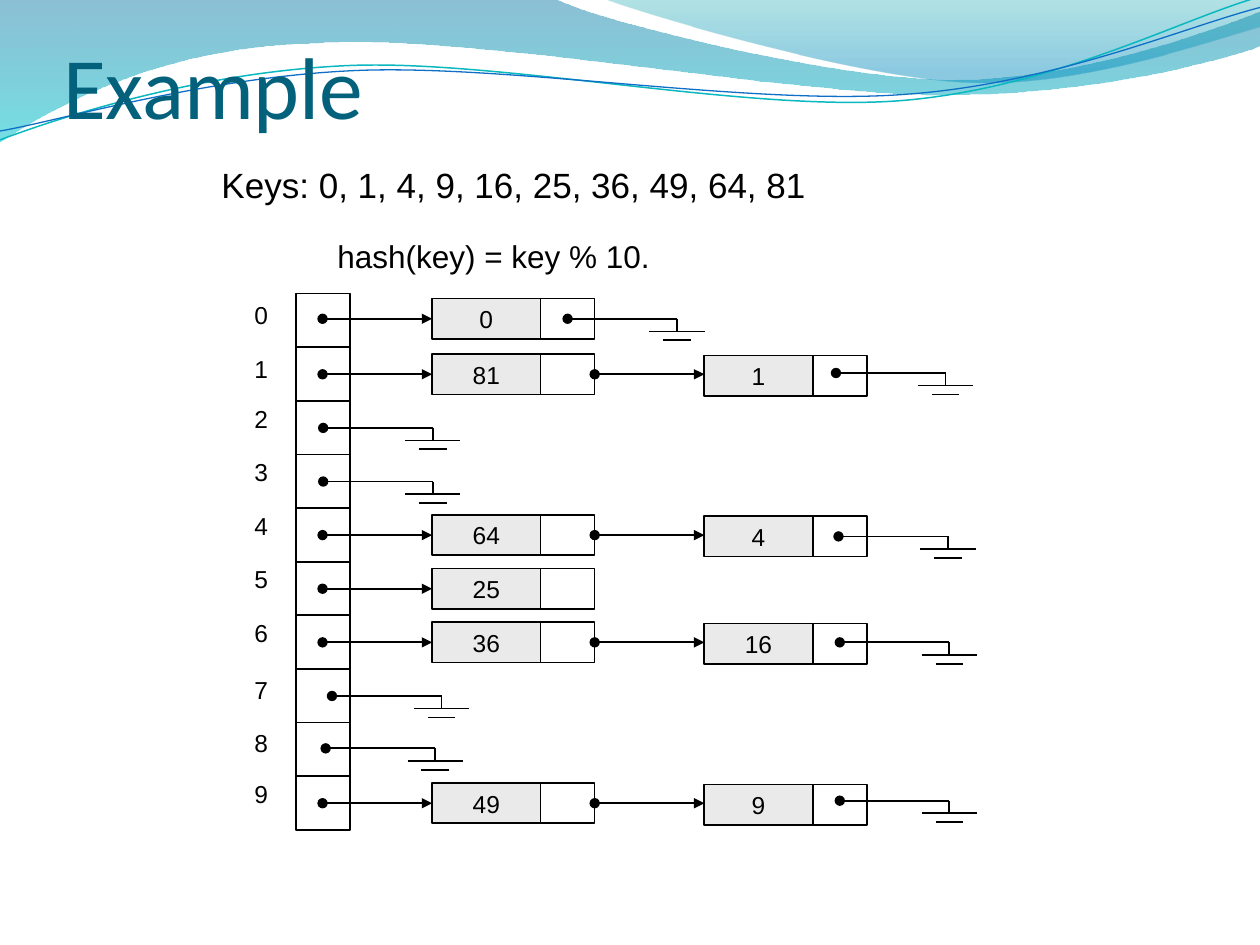
from dataclasses import dataclass
from math import cos, radians, sin

from lxml import etree
from pptx import Presentation
from pptx.dml.color import RGBColor
from pptx.enum.shapes import MSO_CONNECTOR, MSO_SHAPE
from pptx.enum.text import MSO_ANCHOR, MSO_AUTO_SIZE, PP_ALIGN
from pptx.oxml.ns import qn
from pptx.util import Inches, Pt

RECTANGLE = MSO_SHAPE.RECTANGLE
STRAIGHT = MSO_CONNECTOR.STRAIGHT
MIDDLE, BOTTOM = MSO_ANCHOR.MIDDLE, MSO_ANCHOR.BOTTOM
CENTER = PP_ALIGN.CENTER
GROW = MSO_AUTO_SIZE.SHAPE_TO_FIT_TEXT


@dataclass(frozen=True)
class Theme:
    title_font: str = "Calibri"
    body_font: str = "Arial"
    title: str = "04617B"
    ink: str = "000000"
    paper: str = "FFFFFF"
    key_fill: str = "EAEAEA"
    teal: str = "0AB8BF"
    blue: str = "0F6FC6"
    title_size: float = 50
    keys_size: float = 20
    hash_size: float = 18
    cell_size: float = 14
    stroke: float = 1


THEME = Theme()

CHAINS = [["0"], ["81", "1"], [], [], ["64", "4"], ["25"],
          ["36", "16"], [], [], ["49", "9"]]
LABEL_DROPS = [0, 0.43, 0.83, 1.25, 1.68, 2.1, 2.53, 2.98, 3.4, 3.8]
OPEN_ENDED = {5}
GROUND_SHIFTS = {1: (-0.03, -0.01), 4: (-0.01, 0.01), 7: (0.07, 0),
                 8: (0.02, -0.01), 9: (0, -0.02)}

WAVE_TILT = 2.7
BANDS = [
    ([(0, 0), (4.4, -0.01),
      ((4.76, 0.17), (6.64, 0.63), (7.58, 0.63)),
      ((8.53, 0.63), (9.58, 0.26), (10, 0.09)), (10.01, 0.36),
      ((9.83, 0.44), (8.7, 0.76), (7.46, 0.75)),
      ((6.22, 0.75), (3.82, 0.28), (2.57, 0.34)),
      ((1.29, 0.36), (0.46, 0.83), (-0.01, 1.13)), (0, 0)],
     [("0074A1", 45), ("00C6CF", 55)], 1),
    ([(4.79, -0.01),
      ((5.09, 0.11), (6.82, 0.62), (7.69, 0.65)),
      ((8.56, 0.69), (9.61, 0.32), (10, 0.21)), (10, 0), (4.79, -0.01)],
     [("00A1A9", 30), ("008BBF", 45)], 0.8),
]
WAVES = [
    ([(0, 1.11),
      ((0.48, 0.93), (1.58, 0.57), (2.77, 0.52)),
      ((3.95, 0.47), (5.93, 0.89), (7.13, 0.8)),
      ((8.33, 0.71), (9.38, 0.15), (9.98, -0.02))], (4.99, 0.58), THEME.teal, 0.85),
    ([(0, 1.04),
      ((0.47, 0.96), (1.64, 0.61), (2.83, 0.56)),
      ((4.03, 0.51), (5.97, 0.84), (7.17, 0.75)),
      ((8.36, 0.67), (9.41, 0.21), (10, 0.06))], (5, 0.59), THEME.blue, 0.75),
]


def rgb(value):
    return RGBColor.from_string(value)


def is_curve(part):
    return len(part) == 3


def turn(point, center, degrees):
    angle = radians(degrees)
    dx, dy = point[0] - center[0], point[1] - center[1]
    return (center[0] + dx * cos(angle) - dy * sin(angle),
            center[1] + dx * sin(angle) + dy * cos(angle))


def add_outline(shapes, left, top, outline, close, center=(0, 0), tilt=0):
    points = []
    for part in outline:
        points.extend(part if is_curve(part) else [part])
    turned = [turn(point, center, tilt) for point in points]
    corners = [(Inches(left + x), Inches(top + y)) for x, y in turned]
    builder = shapes.build_freeform(*corners[0])
    builder.add_line_segments(corners[1:], close=close)
    shape = builder.convert_to_shape()
    shape.shadow.inherit = False
    shape.rotation = -tilt % 360
    segments = iter(list(shape._element.iter(qn("a:lnTo"))))
    for part in outline[1:]:
        segment = next(segments)
        if is_curve(part):
            curve = etree.Element(qn("a:cubicBezTo"))
            segment.addprevious(curve)
            for piece in (segment, next(segments), next(segments)):
                curve.append(piece[0])
                piece.getparent().remove(piece)
    return shape


def add_header(slide, left, top):
    for outline, stops, last_position in BANDS:
        band = add_outline(slide.shapes, left, top, outline, True)
        band.line.fill.background()
        band.fill.gradient()
        band.fill.gradient_angle = 270
        positions = (0, last_position)
        for stop, (color, _), position in zip(band.fill.gradient_stops, stops, positions):
            stop.color.rgb = rgb(color)
            stop.position = position
        for color, (_, opacity) in zip(band._element.spPr.iter(qn("a:srgbClr")), stops):
            etree.SubElement(color, qn("a:alpha")).set("val", str(opacity * 1000))
    waves = slide.shapes.add_group_shape().shapes
    for outline, center, color, width in WAVES:
        wave = add_outline(waves, left, top, outline, False, center, WAVE_TILT)
        wave.fill.background()
        wave.line.color.rgb = rgb(color)
        wave.line.width = Pt(width)


def write(frame, text, size, color=THEME.ink, font=THEME.body_font):
    run = frame.paragraphs[0].add_run()
    run.text = text
    run.font.size = Pt(size)
    run.font.name = font
    run.font.color.rgb = rgb(color)


def add_text(shapes, left, top, width, height, text, size, wrap=False):
    box = shapes.add_textbox(Inches(left), Inches(top), Inches(width), Inches(height))
    box.text_frame.word_wrap = wrap
    box.text_frame.auto_size = GROW
    write(box.text_frame, text, size)


def add_title(slide, left, top, width, height):
    title = slide.shapes.add_textbox(Inches(left), Inches(top), Inches(width), Inches(height))
    frame = title.text_frame
    frame.word_wrap = True
    frame.vertical_anchor = BOTTOM
    frame.margin_left = frame.margin_right = frame.margin_bottom = 0
    write(frame, "Example", THEME.title_size, THEME.title, THEME.title_font)


def add_cell(shapes, left, top, width, height, fill, text=None):
    cell = shapes.add_shape(
        RECTANGLE, Inches(left), Inches(top), Inches(width), Inches(height))
    cell.shadow.inherit = False
    cell.fill.solid()
    cell.fill.fore_color.rgb = rgb(fill)
    cell.line.color.rgb = rgb(THEME.ink)
    cell.line.width = Pt(THEME.stroke)
    if text:
        frame = cell.text_frame
        frame.word_wrap = False
        frame.vertical_anchor = MIDDLE
        frame.paragraphs[0].alignment = CENTER
        write(frame, text, THEME.cell_size)


def add_line(shapes, x1, y1, x2, y2, head=None, tail=None):
    line = shapes.add_connector(STRAIGHT, Inches(x1), Inches(y1), Inches(x2), Inches(y2))
    line.line.color.rgb = rgb(THEME.ink)
    line.line.width = Pt(THEME.stroke)
    for tag, kind in (("a:headEnd", head), ("a:tailEnd", tail)):
        if kind:
            etree.SubElement(line.line._get_or_add_ln(), qn(tag)).set("type", kind)
    etree.SubElement(line._element.spPr, qn("a:effectLst"))


def add_ground(shapes, left, top):
    stem = left + 0.87
    add_line(shapes, left, top, stem, top, head="oval")
    add_line(shapes, stem, top, stem, top + 0.1)
    for half, drop in ((0.22, 0.1), (0.11, 0.17)):
        add_line(shapes, stem - half, top + drop, stem + half, top + drop)


def add_hash_table(slide, left, top, height):
    shapes = slide.shapes.add_group_shape().shapes
    slot = 0.43
    pitch = (height - slot) / (len(CHAINS) - 1)
    bucket_left, node_left = left + 0.43, left + 1.51
    key_width, node_height, node_pitch, link = 0.86, 0.32, 2.16, 0.87
    middles = [top + row * pitch + (slot / 2 if row else 0.2) for row in range(len(CHAINS))]
    for row, drop in enumerate(LABEL_DROPS):
        add_text(shapes, left, top + drop, 0.3, 0.33, str(row), THEME.cell_size)
    for row in range(len(CHAINS)):
        add_cell(shapes, bucket_left, top + row * pitch, slot, slot, THEME.paper)
    for chain, middle in zip(CHAINS, middles):
        for position, key in enumerate(chain):
            x = node_left + position * node_pitch
            y = middle - node_height / 2 + position * 0.01
            add_cell(shapes, x, y, key_width, node_height, THEME.key_fill, key)
            add_cell(shapes, x + key_width, y, slot, node_height, THEME.paper)
            add_line(shapes, x - link, middle, x, middle, head="oval", tail="triangle")
    for row, (chain, middle) in enumerate(zip(CHAINS, middles)):
        if row in OPEN_ENDED:
            continue
        last_slot = bucket_left
        if chain:
            last_slot = node_left + (len(chain) - 1) * node_pitch + key_width
        dx, dy = GROUND_SHIFTS.get(row, (0, 0))
        add_ground(shapes, last_slot + slot / 2 + dx, middle + dy)


def main():
    deck = Presentation()
    deck.slide_width, deck.slide_height = Inches(10), Inches(7.5)
    slide = deck.slides.add_slide(deck.slide_layouts[6])
    add_header(slide, 0, 0)
    add_title(slide, 0.5, -0.16, 9.08, 1.25)
    add_hash_table(slide, 1.92, 2.33, 4.26)
    add_text(slide.shapes, 1.66, 1.25, 6.34, 0.43,
             "Keys: 0, 1, 4, 9, 16, 25, 36, 49, 64, 81", THEME.keys_size, wrap=True)
    add_text(slide.shapes, 2.58, 1.83, 2.75, 0.4, "hash(key) = key % 10.", THEME.hash_size)
    deck.save("out.pptx")


if __name__ == "__main__":
    main()
